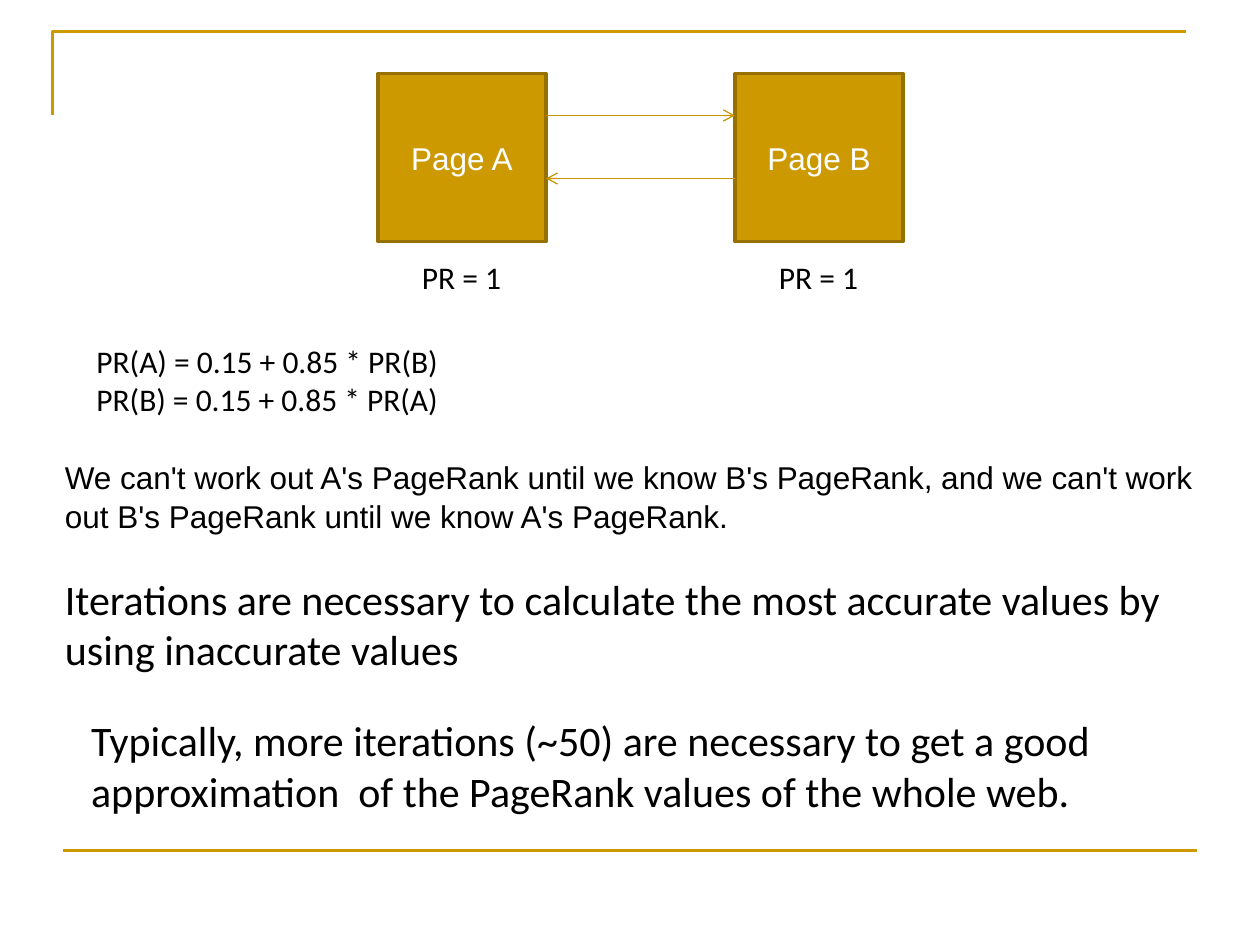
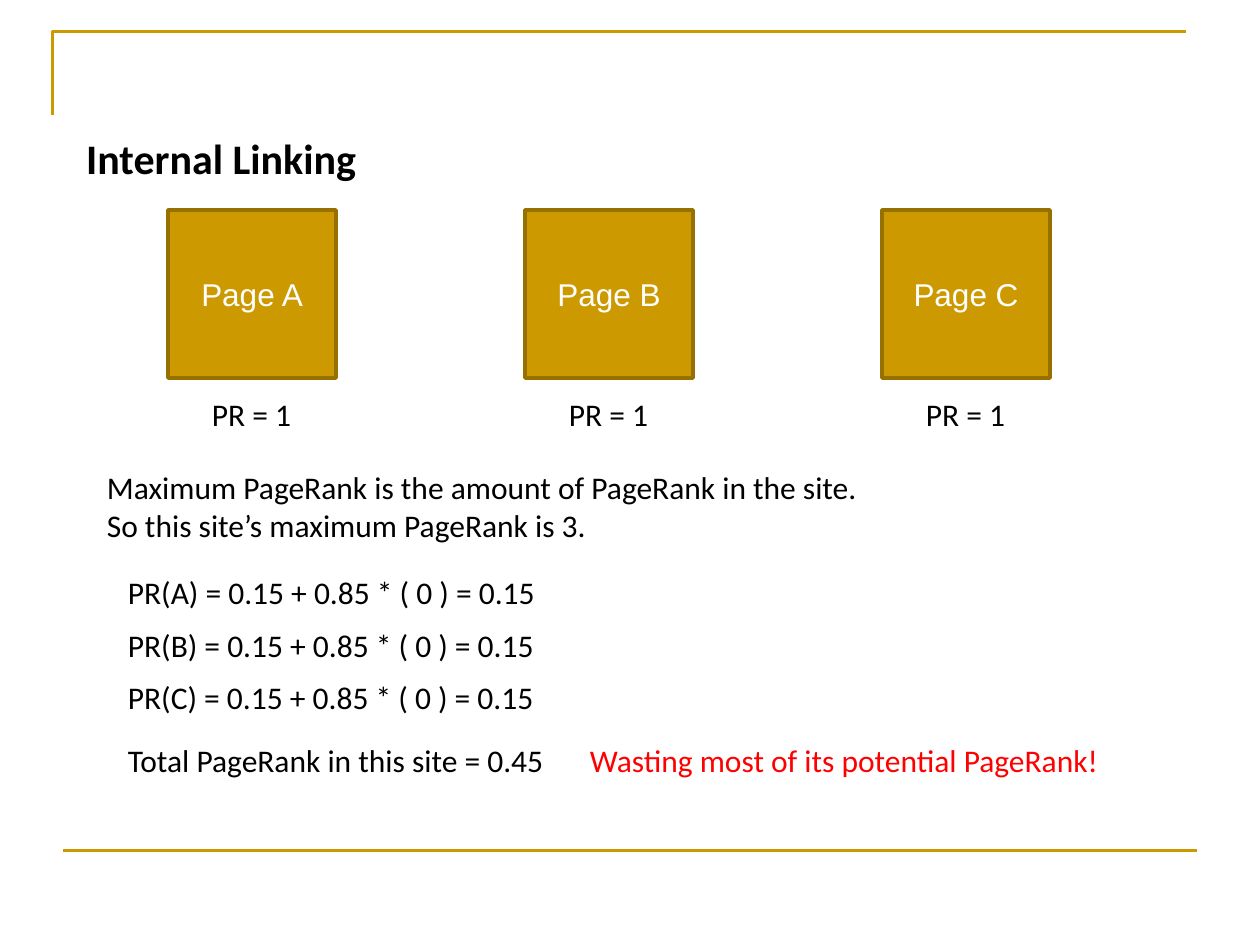
from lxml import etree
from pptx import Presentation
from pptx.dml.color import RGBColor
from pptx.enum.shapes import MSO_CONNECTOR, MSO_SHAPE
from pptx.enum.text import MSO_ANCHOR, MSO_AUTO_SIZE, PP_ALIGN
from pptx.oxml.ns import qn
from pptx.util import Pt

PX = 7620  # EMU in one px, 120 px to the inch
GOLD = RGBColor(0xCC, 0x99, 0x00)
EDGE = RGBColor(0x97, 0x71, 0x00)
ARROW = RGBColor(0xC8, 0x96, 0x00)
BLACK = RGBColor(0x00, 0x00, 0x00)
WHITE = RGBColor(0xFF, 0xFF, 0xFF)
RED = RGBColor(0xFF, 0x00, 0x00)
SANS, BODY = "Arial", "Calibri"

LINE = MSO_CONNECTOR.STRAIGHT
RECT = MSO_SHAPE.RECTANGLE
TOP, MIDDLE = MSO_ANCHOR.TOP, MSO_ANCHOR.MIDDLE
LEFT, CENTER = PP_ALIGN.LEFT, PP_ALIGN.CENTER
GROW = MSO_AUTO_SIZE.SHAPE_TO_FIT_TEXT

SIDE, PITCH = 160, 340  # page squares


def scale(*sizes):
    return [size * PX for size in sizes]


def style(par, size=18, color=BLACK, face=BODY, bold=False):
    font = par.font
    font.size, font.name, font.bold = Pt(size), face, bold
    font.color.rgb = color


def add_text(slide, box, lines, size=18, color=BLACK, wrap=False):
    frame = slide.shapes.add_textbox(*scale(*box)).text_frame
    frame.word_wrap, frame.auto_size = wrap, GROW
    frame.text = "\n".join(lines)
    for par in frame.paragraphs:
        style(par, size, color)
    return frame


def add_line(slide, start, end, color, width, arrow=False):
    line = slide.shapes.add_connector(LINE, *scale(*start, *end))
    line.line.color.rgb, line.line.width = color, Pt(width)
    props = line._element.spPr
    if arrow:
        etree.SubElement(line.line._get_or_add_ln(), qn("a:tailEnd"), type="arrow")
    etree.SubElement(props, qn("a:effectLst"))


def add_frame(slide):
    """Gold corner at the top and rule at the foot."""
    left, top, width, height = 50, 30, 1080, 80
    path = slide.shapes.build_freeform(left, top + height, scale=PX)
    path.add_line_segments([(left, top), (left + width, top)], close=False)
    corner = path.convert_to_shape()
    corner.shadow.inherit = False
    corner.fill.background()
    corner.line.color.rgb, corner.line.width = GOLD, Pt(1.5)
    add_line(slide, (60, 810), (60 + width, 810), GOLD, 1.5)


def add_pages(slide, left, top, names):
    """Row of page squares, each with its rank below."""
    for i, name in enumerate(names):
        x = left + i * PITCH
        page = slide.shapes.add_shape(RECT, *scale(x, top, SIDE, SIDE))
        page.shadow.inherit = False
        page.fill.solid()
        page.fill.fore_color.rgb = GOLD
        page.line.color.rgb, page.line.width = EDGE, Pt(2)
        frame = page.text_frame
        frame.text, frame.vertical_anchor = f"Page {name}", MIDDLE
        par = frame.paragraphs[0]
        par.alignment = CENTER
        style(par, color=WHITE, face=SANS)
        add_text(slide, (x + 30, top + 170, 100, 48), ["PR = 1"])


def add_links(slide, left, top):
    """Arrows both ways between the first two pages."""
    start, end = left + SIDE, left + PITCH
    add_line(slide, (start, top + 40), (end, top + 40), ARROW, 0.75, True)
    add_line(slide, (end, top + 100), (start, top + 100), ARROW, 0.75, True)


def add_title(slide, box, text):
    title = slide.shapes.title
    title.left, title.top, title.width, title.height = scale(*box)
    frame = title.text_frame
    frame.text, frame.word_wrap = text, False
    frame.auto_size, frame.vertical_anchor = GROW, TOP
    par = frame.paragraphs[0]
    par.alignment = LEFT
    style(par, 24, bold=True)


def build_loop(slide):
    """Two pages that link to each other."""
    add_frame(slide)
    add_pages(slide, 360, 70, "AB")
    add_links(slide, 360, 70)
    add_text(slide, (80, 320, 460, 84), [
        "PR(A) = 0.15 + 0.85 * PR(B)",
        "PR(B) = 0.15 + 0.85 * PR(A)"], wrap=True)

    # Problem in small type, answer in large type
    pars = add_text(slide, (50, 430, 1100, 216), [
        "We can't work out A's PageRank until we know B's PageRank, and we can't work",
        "out B's PageRank until we know A's PageRank.",
        "Iterations are necessary to calculate the most accurate values by",
        "using inaccurate values"], 24).paragraphs
    for par in pars[:2]:
        style(par, face=SANS)
    pars[1].space_before, pars[2].space_before = Pt(1), Pt(22)

    add_text(slide, (75, 675, 994, 109), [
        "Typically, more iterations (~50) are necessary to get a good",
        "approximation  of the PageRank values of the whole web."], 24)


def build_site(slide):
    """Three pages without links."""
    add_frame(slide)
    add_title(slide, (70, 120, 283, 61), "Internal Linking")
    add_pages(slide, 160, 200, "ABC")
    add_text(slide, (90, 440, 746, 85), [
        "Maximum PageRank is the amount of PageRank in the site.",
        "So this site’s maximum PageRank is 3."])

    # Ranks and their total
    for i, name in enumerate("ABC"):
        add_text(slide, (110, 540 + i * 50, 417, 48),
                 [f"PR({name}) = 0.15 + 0.85 * ( 0 ) = 0.15"])
    add_text(slide, (110, 700, 425, 48), ["Total PageRank in this site = 0.45"])
    add_text(slide, (550, 700, 514, 48),
             ["Wasting most of its potential PageRank!"], color=RED)


def main():
    deck = Presentation()
    deck.slide_width, deck.slide_height = scale(1200, 900)
    only, blank = deck.slide_layouts[5], deck.slide_layouts[6]
    build_loop(deck.slides.add_slide(blank))
    build_site(deck.slides.add_slide(only))
    deck.save("out.pptx")


if __name__ == "__main__":
    main()
